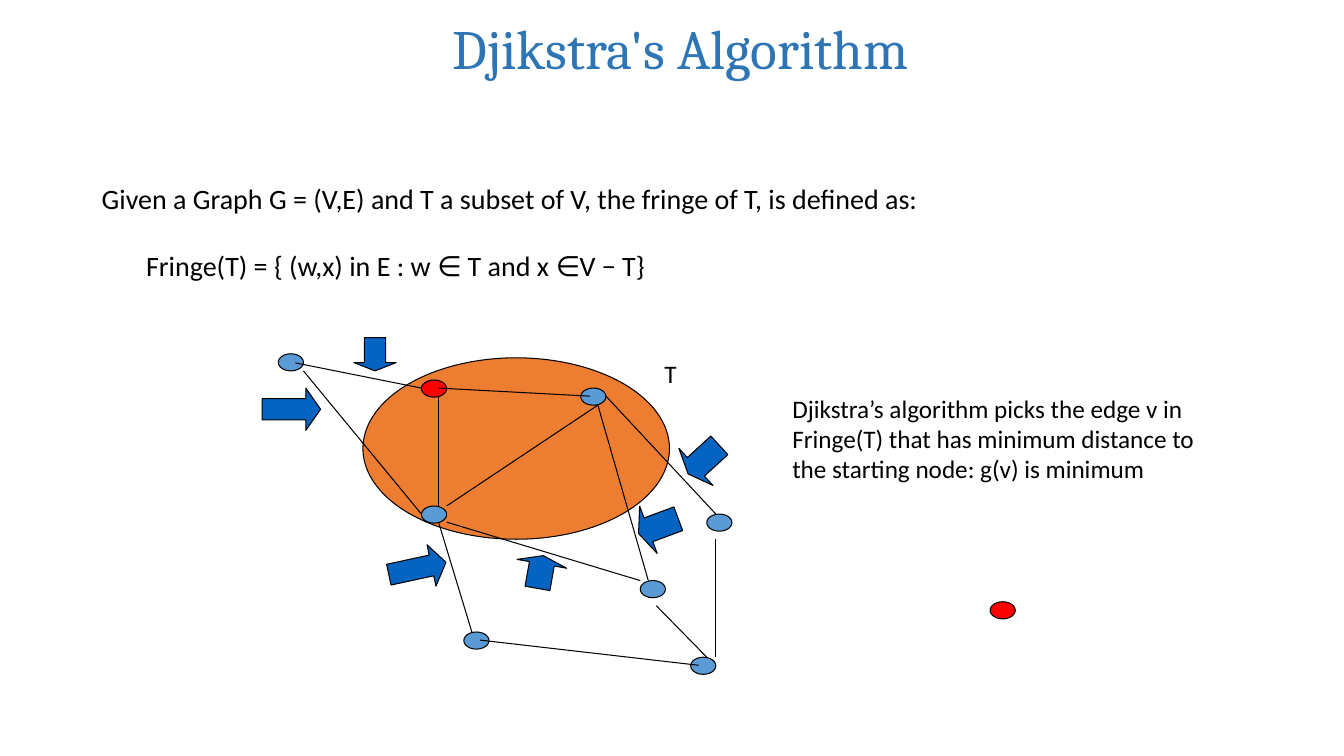
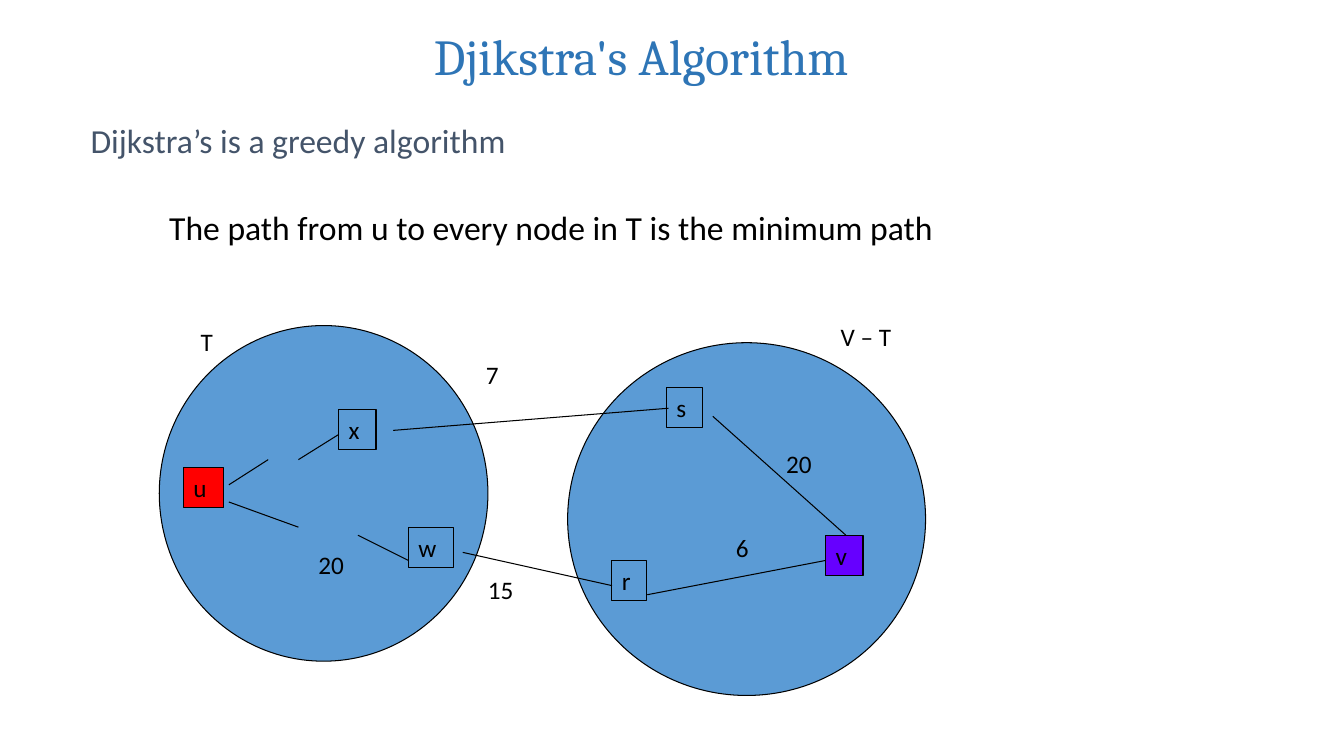
"""Build two slides on Djikstra's algorithm."""
import pptx
import pptx.util
import pptx.dml.color
import pptx.enum.shapes
import pptx.enum.text
import pptx.oxml.ns
import lxml.etree

Inches = pptx.util.Inches
Pt = pptx.util.Pt
RGB = pptx.dml.color.RGBColor
SHAPE = pptx.enum.shapes.MSO_SHAPE
ALIGN = pptx.enum.text.PP_ALIGN
ANCHOR = pptx.enum.text.MSO_ANCHOR

BLACK = RGB(0, 0, 0)
TITLE = RGB(0x2E, 0x75, 0xB6)
SLATE = RGB(0x44, 0x54, 0x6A)
BLUE = RGB(0x5B, 0x9B, 0xD5)
ORANGE = RGB(0xED, 0x7D, 0x31)
RED = RGB(0xFF, 0, 0)
ARROW = RGB(0x05, 0x63, 0xC1)
PURPLE = RGB(0x66, 0, 0xFF)

HEAD = "Djikstra's Algorithm"
DOT = (0.25, 0.17)
ROW = 0.4

FRINGE = [
    "Given a Graph G = (V,E) and T a subset of V, the fringe of T, is defined as:",
    "Fringe(T) = { (w,x) in E : w ∈ T and x ∈V − T}",
]
PICK = ("Djikstra’s algorithm picks the edge v in Fringe(T) that has minimum "
        "distance to the starting node: g(v) is minimum")
DOTS = [
    (2.76, 3.51, BLUE), (4.18, 3.77, RED), (4.18, 5.02, BLUE),
    (5.76, 3.85, BLUE), (7.01, 5.1, BLUE), (4.6, 6.27, BLUE),
    (6.35, 5.76, BLUE), (6.85, 6.52, BLUE), (9.82, 5.97, RED),
]
EDGES = [
    (3.01, 3.68, 4.18, 5.1), (4.35, 5.02, 4.35, 3.93),
    (4.43, 5.02, 5.93, 4.02), (4.35, 5.18, 4.68, 6.27),
    (4.43, 5.18, 6.35, 5.76), (4.35, 3.85, 5.85, 3.93),
    (4.18, 3.85, 2.93, 3.6), (5.93, 4.02, 6.43, 5.76),
    (4.76, 6.35, 6.93, 6.6), (6.01, 3.93, 7.1, 5.1),
    (6.51, 6.01, 7.01, 6.52), (7.1, 5.35, 7.1, 6.52),
]
ARROWS = [
    (SHAPE.RIGHT_ARROW, (2.6, 3.85, 0.58, 0.42), 0, 0.35),
    (SHAPE.DOWN_ARROW, (3.51, 3.35, 0.42, 0.33), 0, 0.25),
    (SHAPE.LEFT_ARROW, (6.77, 4.31, 0.42, 0.5), 317.5, 0.25),
    (SHAPE.LEFT_ARROW, (6.32, 4.97, 0.42, 0.5), 339.7, 0.25),
    (SHAPE.RIGHT_ARROW, (3.85, 5.43, 0.58, 0.42), 347.8, 0.35),
    (SHAPE.UP_ARROW, (5.11, 5.51, 0.5, 0.33), 10.1, 0.25),
]

SETS = [(5.63, 3.4, 3.55, 3.5), (1.58, 3.23, 3.26, 3.33)]
NODES = [
    ("w", 4.05, 5.23, 0.45, None), ("u", 1.82, 4.64, 0.4, RED),
    ("r", 6.07, 5.56, 0.34, None), ("s", 6.61, 3.84, 0.36, None),
    ("v", 8.19, 5.31, 0.37, PURPLE), ("x", 3.36, 4.06, 0.37, None),
]
LINKS = [
    (4.59, 5.48, 6.07, 5.81), (4.05, 5.56, 3.55, 5.31),
    (3.9, 4.27, 6.63, 4.05), (6.42, 5.9, 8.19, 5.56),
    (7.07, 4.13, 8.39, 5.31), (3.36, 4.31, 2.96, 4.56),
    (2.27, 4.98, 2.96, 5.23), (2.27, 4.81, 2.66, 4.56),
]
LABELS = [
    ("T", 1.89, 3.19, 0.38), ("V – T", 8.24, 3.14, 0.84),
    ("6", 7.2, 5.23, 0.39), ("20", 3.06, 5.4, 0.54),
    ("20", 7.7, 4.4, 0.54), ("7", 4.72, 3.52, 0.39), ("15", 4.74, 5.65, 0.54),
]


def write(item, lines, size=18, color=BLACK, font="Calibri", align=ALIGN.LEFT,
          anchor=ANCHOR.TOP, wrap=True, gap=0, indent=0):
    """Fill a shape with formatted paragraphs; later ones get gap and indent."""
    frame = item.text_frame
    frame.word_wrap = wrap
    frame.vertical_anchor = anchor
    for i, line in enumerate(lines):
        para = frame.paragraphs[0] if i == 0 else frame.add_paragraph()
        if i:
            para.space_before = Pt(gap)
            para._p.get_or_add_pPr().set("marL", str(Inches(indent)))
        para.alignment = align
        run = para.add_run()
        run.text = line
        run.font.size = Pt(size)
        run.font.name = font
        run.font.color.rgb = color


def label(slide, box, *lines, **style):
    """Add a text box."""
    write(slide.shapes.add_textbox(*map(Inches, box)), lines, **style)


def title(slide, box, size):
    """Add the slide title."""
    label(slide, box, HEAD, size=size, color=TITLE, font="Cambria",
          align=ALIGN.CENTER, anchor=ANCHOR.MIDDLE)


def shape(slide, kind, box, fill=None):
    """Add a black outlined preset shape."""
    item = slide.shapes.add_shape(kind, *map(Inches, box))
    item.shadow.inherit = False
    if fill is None:
        item.fill.background()
    else:
        item.fill.solid()
        item.fill.fore_color.rgb = fill
    item.line.color.rgb = BLACK
    item.line.width = Pt(0.75)
    return item


def edge(slide, ends):
    """Add a thin black line."""
    kind = pptx.enum.shapes.MSO_CONNECTOR.STRAIGHT
    item = slide.shapes.add_connector(kind, *map(Inches, ends))
    item.line.color.rgb = BLACK
    item.line.width = Pt(0.75)
    lxml.etree.SubElement(item._element.spPr, pptx.oxml.ns.qn("a:effectLst"))


def fringe(slide):
    """Draw the graph with its fringe edges."""
    title(slide, (2.5, 0.09, 8.5, 0.75), 39.6)
    shape(slide, SHAPE.OVAL, (3.6, 3.55, 3.04, 1.8), ORANGE)
    label(slide, (6.49, 3.51, 0.33, ROW), "T", wrap=False)
    for x, y, fill in DOTS:
        shape(slide, SHAPE.OVAL, (x, y, *DOT), fill)
    for ends in EDGES:
        edge(slide, ends)
    label(slide, (0.91, 1.75, 10.42, 1.11), *FRINGE, size=20, gap=24, indent=0.44)
    for kind, box, turn, tip in ARROWS:
        item = shape(slide, kind, box, ARROW)
        item.rotation = turn
        item.adjustments[0] = 0.5
        item.adjustments[1] = tip
    label(slide, (7.76, 3.85, 4.36, 1.01), PICK)


def greedy(slide):
    """Draw the two node sets and the weights between them."""
    title(slide, (2.11, 0.12, 8.5, 0.86), 36)
    label(slide, (0.8, 1.14, 4.45, 0.5), "Dijkstra’s is a greedy algorithm",
          size=24, color=SLATE)
    label(slide, (1.58, 2, 10.27, 0.51),
          "The path from u to every node in T is the minimum path", size=24)
    for box in SETS:
        shape(slide, SHAPE.OVAL, box, BLUE)
    for name, x, y, wide, fill in NODES:
        item = shape(slide, SHAPE.RECTANGLE, (x, y, wide, ROW), fill)
        write(item, [name], wrap=False)
    for ends in LINKS:
        edge(slide, ends)
    for text, x, y, wide in LABELS:
        label(slide, (x, y, wide, ROW), text, wrap=False)


def main():
    """Build and save the deck."""
    deck = pptx.Presentation()
    deck.slide_width = Inches(13.33)
    deck.slide_height = Inches(7.5)
    for draw in (fringe, greedy):
        draw(deck.slides.add_slide(deck.slide_layouts[6]))
    deck.save("out.pptx")


if __name__ == "__main__":
    main()
